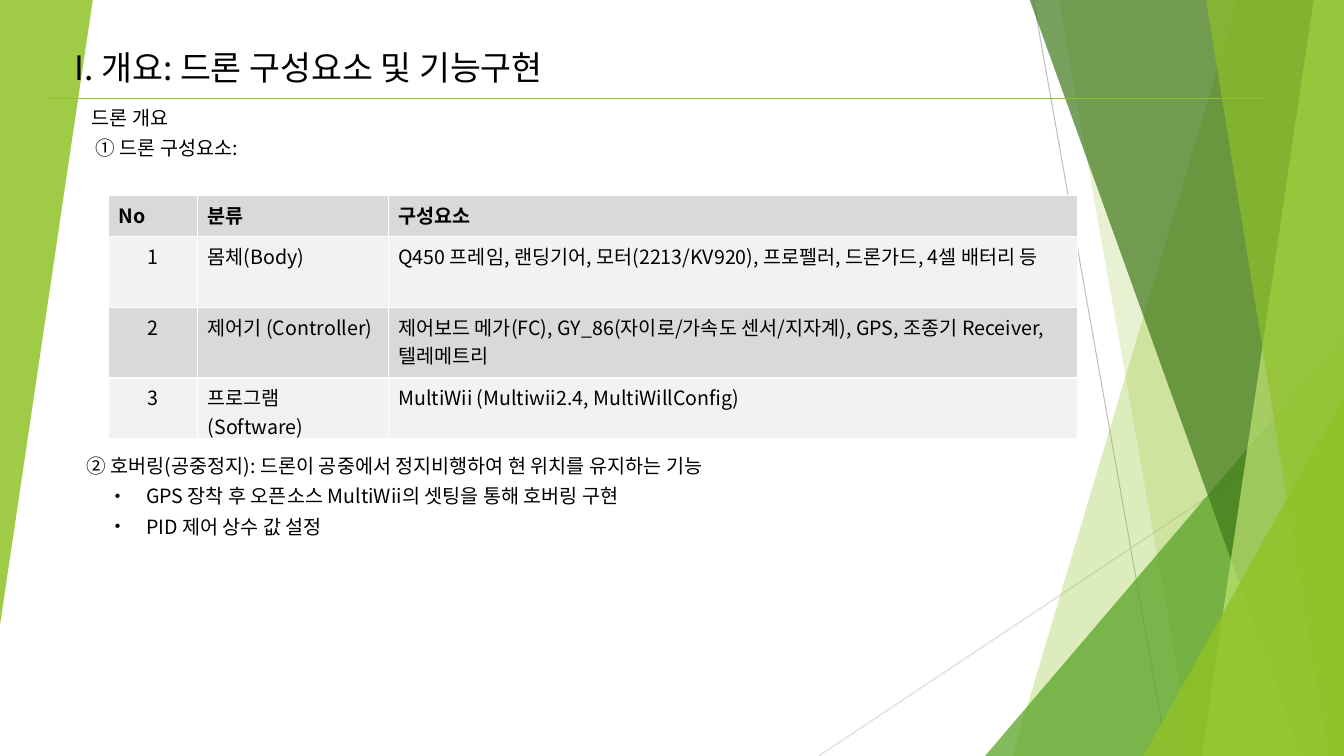
import pptx
import pptx.dml.color
import pptx.enum.shapes
import pptx.enum.text
import pptx.oxml.ns
import pptx.util
from lxml import etree

EMU_PER_PX = 9144
FONT = "Noto Sans CJK KR"
GREEN = "90C226"
ALIGN = pptx.enum.text.PP_ALIGN

FACETS = [
    (1228, 1004, GREEN, 30),
    (1050, 1183, GREEN, 20),
    (1021, 1291, "3F7819", 70),
    (1303, 1192, "C0E474", 70),
    (1196, 1318, GREEN, 65),
]
COLUMNS = [88, 189, 684]
ROW_HEIGHTS = [41, 70, 70, 60]
COMPONENTS = [
    ["No", "분류", "구성요소"],
    ["1", "몸체(Body)",
     "Q450 프레임, 랜딩기어, 모터(2213/KV920), 프로펠러, 드론가드, 4셀 배터리 등"],
    ["2", "제어기 (Controller)",
     "제어보드 메가(FC), GY_86(자이로/가속도 센서/지자계), GPS, 조종기 Receiver, 텔레메트리"],
    ["3", "프로그램 (Software)", "MultiWii (Multiwii2.4, MultiWillConfig)"],
]


def px(length):
    return pptx.util.Emu(length * EMU_PER_PX)


def rgb(code):
    return pptx.dml.color.RGBColor.from_string(code)


def add_element(parent, tag, **attributes):
    return etree.SubElement(parent, pptx.oxml.ns.qn(tag), attributes)


def write_text(para, text, size=14, bold=False, align=ALIGN.LEFT,
               margin=0, hanging=0, bullet=None, after=0, spacing=None):
    para.alignment = align
    para.space_after = pptx.util.Pt(after)
    para.space_before = pptx.util.Pt(0)
    if spacing:
        para.line_spacing = spacing
    properties = para._p.get_or_add_pPr()
    properties.set("marL", str(px(margin)))
    properties.set("indent", str(px(-hanging)))
    if bullet:
        add_element(properties, "a:buSzPct", val="80000")
        add_element(properties, "a:buFont", typeface="Arial")
        add_element(properties, "a:buChar", char=bullet)
    span = para.add_run()
    span.text = text
    span.font.size = pptx.util.Pt(size)
    span.font.bold = bold
    span.font.name = FONT
    span.font.color.rgb = rgb("000000")
    add_element(span._r.get_or_add_rPr(), "a:ea", typeface=FONT)


def paint(shape, color, opacity):
    shape.shadow.inherit = False
    shape.line.fill.background()
    shape.fill.solid()
    shape.fill.fore_color.rgb = rgb(color)
    tint = shape.fill._xPr.find(".//" + pptx.oxml.ns.qn("a:srgbClr"))
    add_element(tint, "a:alpha", val=str(opacity * 1000))


def add_facet(page, top_x, bottom_x, color, opacity):
    outline = page.shapes.build_freeform(top_x, -1, scale=EMU_PER_PX)
    outline.add_line_segments([(1333, -1), (1333, 750), (bottom_x, 750)])
    paint(outline.convert_to_shape(), color, opacity)


def add_triangle(page, left, top, width, height, color, opacity, rotation=0):
    triangle = page.shapes.add_shape(
        pptx.enum.shapes.MSO_SHAPE.ISOSCELES_TRIANGLE,
        px(left), px(top), px(width), px(height))
    triangle.adjustments[0] = 1.0
    triangle.rotation = rotation
    paint(triangle, color, opacity)


def add_line(page, x1, y1, x2, y2, color, width):
    line = page.shapes.add_connector(
        pptx.enum.shapes.MSO_CONNECTOR.STRAIGHT, px(x1), px(y1), px(x2), px(y2))
    line.line.color.rgb = rgb(color)
    line.line.width = pptx.util.Pt(width)
    add_element(line._element.spPr, "a:effectLst")


def add_background(page):
    add_line(page, 1025, 0, 1158, 750, "BFBFBF", 0.75)
    add_line(page, 1333, 403, 812, 750, "D9D9D9", 0.75)
    for facet in FACETS[:2]:
        add_facet(page, *facet)
    add_triangle(page, 977, 333, 356, 417, "54A021", 72)
    for facet in FACETS[2:]:
        add_facet(page, *facet)
    add_triangle(page, 1134, 393, 199, 357, GREEN, 80)
    add_triangle(page, 0, 0, 92, 620, GREEN, 85, rotation=180)


def add_title(page, text):
    title = page.shapes.title
    title.left, title.top, title.width, title.height = map(px, (64, 36, 1134, 56))
    title.text_frame.vertical_anchor = pptx.enum.text.MSO_ANCHOR.BOTTOM
    write_text(title.text_frame.paragraphs[0], text, size=24)
    page.shapes._spTree.append(title._element)


def add_body(page, top, height, lines):
    box = page.shapes.add_textbox(px(76), px(top), px(1012), px(height))
    frame = box.text_frame
    frame.word_wrap = True
    for index, (text, style) in enumerate(lines):
        para = frame.add_paragraph() if index else frame.paragraphs[0]
        write_text(para, text, align=ALIGN.JUSTIFY, after=6.5, spacing=0.9, **style)


def add_component_table(page):
    table = page.shapes.add_table(
        len(COMPONENTS), len(COLUMNS), px(108), px(194),
        px(sum(COLUMNS)), px(sum(ROW_HEIGHTS))).table
    for column, width in zip(table.columns, COLUMNS):
        column.width = px(width)
    for row_index, values in enumerate(COMPONENTS):
        table.rows[row_index].height = px(ROW_HEIGHTS[row_index])
        for column_index, value in enumerate(values):
            cell = table.cell(row_index, column_index)
            cell.fill.solid()
            cell.fill.fore_color.rgb = rgb("F2F2F2" if row_index % 2 else "D9D9D9")
            centred = row_index > 0 and column_index == 0
            write_text(cell.text_frame.paragraphs[0], value, bold=row_index == 0,
                       align=ALIGN.CENTER if centred else ALIGN.LEFT)


def main():
    deck = pptx.Presentation()
    deck.slide_width, deck.slide_height = px(1333), px(750)
    page = deck.slides.add_slide(deck.slide_layouts[5])
    add_background(page)
    add_title(page, "I. 개요: 드론 구성요소 및 기능구현")
    add_body(page, 103, 76, [
        ("드론 개요", {"margin": 5}),
        ("① 드론 구성요소:", {"margin": 9}),
    ])
    bulleted = {"margin": 59, "hanging": 31, "bullet": "•"}
    add_body(page, 448, 111, [
        ("② 호버링(공중정지): 드론이 공중에서 정지비행하여 현 위치를 유지하는 기능", {}),
        ("GPS 장착 후 오픈소스 MultiWii의 셋팅을 통해 호버링 구현", bulleted),
        ("PID 제어 상수 값 설정", bulleted),
    ])
    add_line(page, 49, 98, 1256, 98, GREEN, 0.5)
    add_component_table(page)
    deck.save("out.pptx")


if __name__ == "__main__":
    main()
